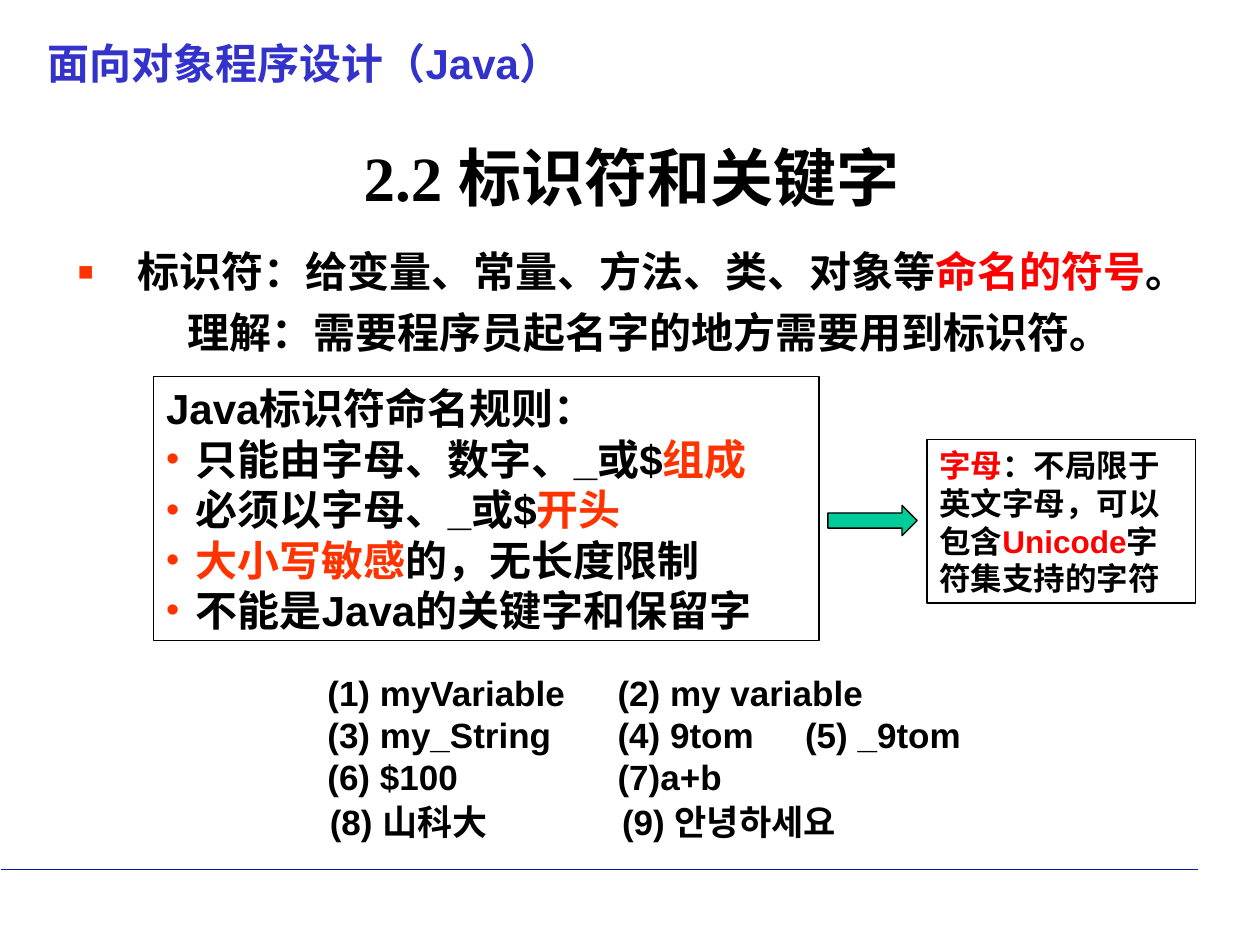
from lxml import etree
from pptx import Presentation
from pptx.dml.color import RGBColor
from pptx.enum.shapes import MSO_CONNECTOR as Connector, MSO_SHAPE as Shape
from pptx.enum.text import MSO_ANCHOR as Anchor, PP_ALIGN as Align
from pptx.oxml.ns import qn
from pptx.util import Cm, Pt

BLACK, RED, ORANGE = "000000", "FF0000", "FF3300"
BLUE, NAVY, GREEN = "3333CC", "061AAA", "00CC99"
INSETS = {"margin_left": Cm(0.25), "margin_right": Cm(0.25),
          "margin_top": Cm(0.13), "margin_bottom": Cm(0.13), "word_wrap": True}


def colour(value):
    return RGBColor.from_string(value)


def set_all(target, values):
    for name, value in values.items():
        setattr(target, name, value)


def add_child(parent, tag, **attributes):
    return etree.SubElement(parent, qn(tag), attributes)


def add_bullet(paragraph, char, percent, indent):
    props = paragraph._p.get_or_add_pPr()
    props.set("marL", str(Cm(indent)))
    props.set("indent", str(-Cm(indent)))
    add_child(add_child(props, "a:buClr"), "a:srgbClr", val=ORANGE)
    add_child(props, "a:buSzPct", val=str(percent * 1000))
    add_child(props, "a:buFont", typeface="Arial")
    add_child(props, "a:buChar", char=char)


def add_tabs(paragraph, stops):
    tabs = add_child(paragraph._p.get_or_add_pPr(), "a:tabLst")
    for stop in stops:
        add_child(tabs, "a:tab", pos=str(Cm(stop)), algn="l")


def write(frame, lines, size, font="Arial", anchor=Anchor.TOP, align=Align.LEFT):
    """Each line is a list of (text, colour) runs."""
    set_all(frame, {**INSETS, "vertical_anchor": anchor})
    for index, line in enumerate(lines):
        paragraph = frame.add_paragraph() if index else frame.paragraphs[0]
        paragraph.alignment = align
        for text, tint in line:
            run = paragraph.add_run()
            run.text = text
            set_all(run.font, {"size": Pt(size), "name": font, "bold": True})
            run.font.color.rgb = colour(tint)
    return frame.paragraphs


def add_text(slide, box, lines, size, **options):
    frame = slide.shapes.add_textbox(*map(Cm, box)).text_frame
    return write(frame, lines, size, **options)


def add_outlined(slide, kind, box, fill=None):
    shape = slide.shapes.add_shape(kind, *map(Cm, box))
    shape.shadow.inherit = False
    if fill:
        shape.fill.solid()
        shape.fill.fore_color.rgb = colour(fill)
    else:
        shape.fill.background()
    shape.line.color.rgb = colour(BLACK)
    shape.line.width = Pt(0.75)
    return shape


def add_frame(slide, left, top, width, height):
    # Course name
    add_text(slide, (left + 0.71, top + 0.61, 23.42, 1.3),
             [[("面向对象程序设计（Java）", BLUE)]], 24, anchor=Anchor.MIDDLE)
    # Footer rule
    rule_y = Cm(top + height - 1.52)
    rule = slide.shapes.add_connector(Connector.STRAIGHT, Cm(left + 0.03), rule_y,
                                      Cm(left + width - 1.24), rule_y)
    rule.line.color.rgb = colour(NAVY)
    rule.line.width = Pt(1)
    add_child(rule._element.spPr, "a:effectLst")


def add_definition(slide, left, top, width):
    # Section title
    add_text(slide, (left, top, width, 1.96), [[("2.2 标识符和关键字", BLACK)]], 36,
             font="Times New Roman", anchor=Anchor.MIDDLE, align=Align.CENTER)
    # Definition of an identifier
    definition = [("标识符：给变量、常量、方法、类、对象等", BLACK),
                  ("命名的符号", RED), ("。", BLACK)]
    paragraph = add_text(slide, (left, top + 1.95, width + 0.53, 2.01),
                         [definition], 24, font="Times New Roman")[0]
    paragraph.line_spacing = 1.3
    add_bullet(paragraph, "▪", 120, 1.22)
    # Explanation
    add_text(slide, (left + 2.23, top + 3.48, 19.56, 1.27),
             [[("理解：需要程序员起名字的地方需要用到标识符。", BLACK)]], 24)


def add_rules(slide, left, top, width, height):
    # Naming rules
    rules = [
        [("Java标识符命名规则：", BLACK)],
        [("只能由字母、数字、_或$", BLACK), ("组成", ORANGE)],
        [("必须以字母、_或$", BLACK), ("开头", ORANGE)],
        [("大小写敏感", ORANGE), ("的，无长度限制", BLACK)],
        [("不能是Java的关键字和保留字", BLACK)],
    ]
    panel = add_outlined(slide, Shape.RECTANGLE, (left, top, width, height))
    for paragraph in write(panel.text_frame, rules, 24)[1:]:
        add_bullet(paragraph, "•", 90, 0.6)
    # Arrow to the note on letters
    add_outlined(slide, Shape.RIGHT_ARROW,
                 (left + width + 0.18, top + 2.6, 1.8, 0.61), GREEN)
    note = [("字母", RED), ("：不局限于英文字母，可以包含", BLACK),
            ("Unicode", RED), ("字符集支持的字符", BLACK)]
    remark = add_outlined(slide, Shape.RECTANGLE,
                          (left + width + 2.18, top + 1.27, 5.41, 3.3))
    write(remark.text_frame, [note], 18)


def add_examples(slide, left, top, width):
    # Candidate identifiers in columns
    examples = ["(1) myVariable\t(2) my variable",
                "(3) my_String\t(4) 9tom\t(5) _9tom",
                "(6) $100\t(7)a+b"]
    for paragraph in add_text(slide, (left, top, width, 2.79),
                              [[(text, BLACK)] for text in examples], 20):
        add_tabs(paragraph, (5.85, 9.63))
    # Candidates in other scripts
    for offset, box_width, text in ((0.05, 3.99, "(8) 山科大"),
                                    (5.94, 5.54, "(9) 안녕하세요")):
        add_text(slide, (left + offset, top + 2.59, box_width, 1.12),
                 [[(text, BLACK)]], 20)


def main():
    deck = Presentation()
    set_all(deck, {"slide_width": Cm(25.4), "slide_height": Cm(19.05)})
    slide = deck.slides.add_slide(deck.slide_layouts[6])
    add_frame(slide, 0, 0, 25.4, 19.05)
    add_definition(slide, 1.3, 2.57, 22.86)
    add_rules(slide, 3.1, 7.59, 13.41, 5.33)
    add_examples(slide, 6.35, 13.41, 14.73)
    deck.save("out.pptx")


if __name__ == "__main__":
    main()
